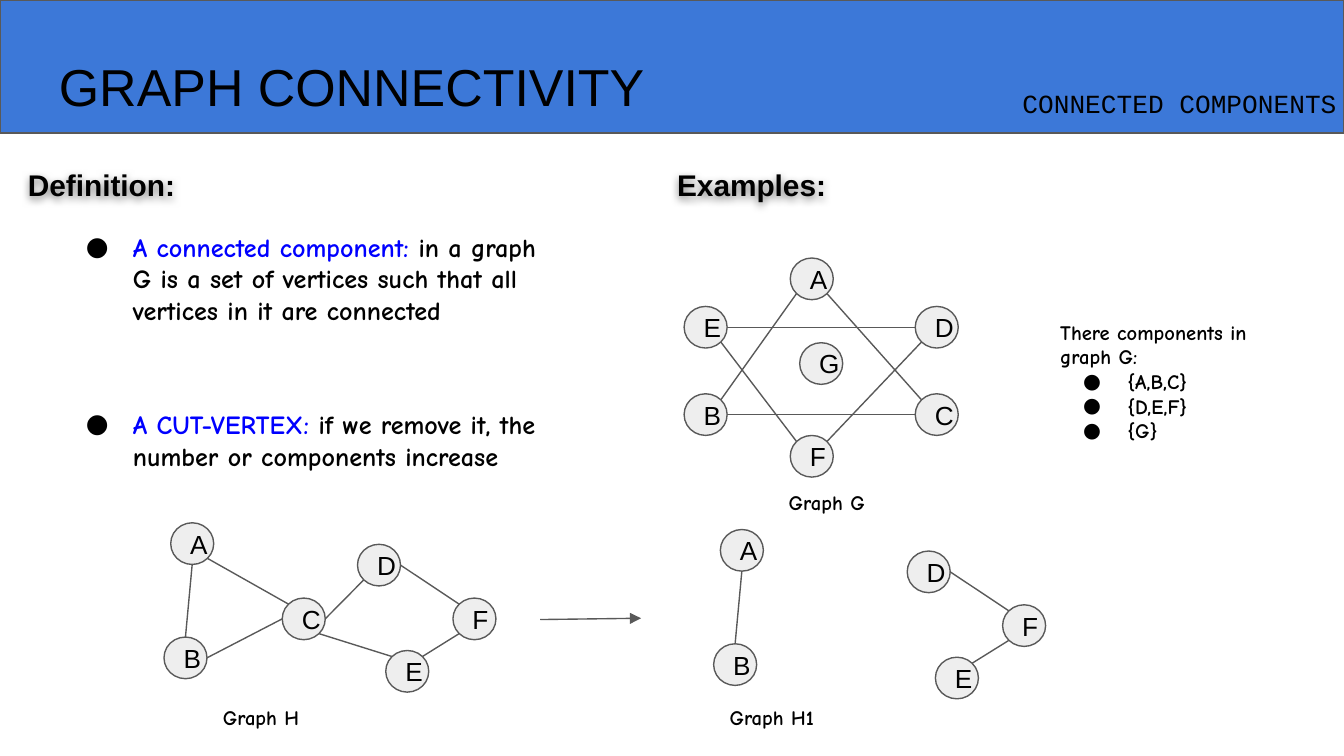
from pptx import Presentation
from pptx.util import Inches, Pt
from pptx.dml.color import RGBColor
from pptx.enum.shapes import MSO_SHAPE as Shape, MSO_CONNECTOR as Line
from pptx.enum.text import MSO_ANCHOR as Anchor, PP_ALIGN as Align
from pptx.oxml import parse_xml
from pptx.oxml.ns import nsdecls

BLUE = RGBColor(0x3C, 0x78, 0xD8)
LINK = RGBColor(0x00, 0x00, 0xFF)
GREY = RGBColor(0x59, 0x59, 0x59)
PALE = RGBColor(0xEE, 0xEE, 0xEE)
BLACK = RGBColor(0, 0, 0)
SANS, COMIC, MONO = "Arial", "Comic Neue", "Courier New"
NS = nsdecls("a")

# Content: box (left, top, width, height), text, size, font, bold
LABELS = [
    ((0.34, 0.31, 6.03, 1.14), "GRAPH CONNECTIVITY", 27.8, SANS, False),
    ((7.51, 0.55, 2.83, 0.44), "CONNECTED COMPONENTS", 14, MONO, False),
    ((5.27, 3.55, 1.31, 0.39), "Graph G", 11, COMIC, True),
    ((1.56, 5.15, 1.10, 0.39), "Graph H", 11, COMIC, True),
    ((5.33, 5.15, 1.26, 0.39), "Graph H1", 11, COMIC, True),
]
INDENTED = "Graph G"
HEADS = [
    ((0.11, 1.14, 1.3, 0.47), "Definition:"),
    ((4.94, 1.14, 2.04, 0.47), "Examples:"),
]
TERMS = [
    ((0.39, 1.62, 3.73, 1.14), "A connected component:",
     " in a graph G is a set of vertices such that all vertices in it are connected"),
    ((0.39, 2.94, 3.73, 0.91), "A CUT-VERTEX:",
     " if we remove it, the number or components increase"),
]
PARTS_BOX = (7.79, 2.28, 1.99, 1.13)
PARTS = ["There components in graph G:", "{A,B,C}", "{D,E,F}", "{G}"]

# Graphs: top left of each node; edges as node, side, node, side
NODE_W, NODE_H = 0.32, 0.31
G_NODES = {"B": (5.09, 2.93), "C": (6.81, 2.93), "A": (5.88, 1.92),
           "D": (6.81, 2.28), "E": (5.09, 2.28), "F": (5.88, 3.24),
           "G": (5.95, 2.55)}
G_EDGES = ["A sw B ne", "B e C w", "A se C nw",
           "E se F nw", "F ne D sw", "E e D w"]
H_NODES = {"A": (1.27, 3.89), "B": (1.22, 4.74), "D": (2.66, 4.05),
           "C": (2.10, 4.45), "E": (2.87, 4.84), "F": (3.37, 4.45)}
H_EDGES = ["A s B n", "A se C nw", "D sw C e", "D e F nw",
           "C se E nw", "E ne F sw", "B e C w"]
CUT, SHIFT = "C", (4.09, 0.05)

prs = Presentation()
prs.slide_width = Inches(10)
prs.slide_height = prs.slide_width * 9 // 16
slide = prs.slides.add_slide(prs.slide_layouts[6])


def style(run, size, font, bold=False, color=BLACK):
    run.font.size, run.font.name = Pt(size), font
    run.font.bold, run.font.color.rgb = bold, color


def inset(frame):
    frame.word_wrap = True
    frame.margin_left = frame.margin_right = Inches(0.1)
    frame.margin_top = frame.margin_bottom = Inches(0.1)


def add_box(box):
    shape = slide.shapes.add_textbox(*map(Inches, box))
    inset(shape.text_frame)
    return shape


def add_label(box, text, size, font, bold):
    shape = add_box(box)
    shape.text_frame.text = text
    style(shape.text_frame.paragraphs[0].runs[0], size, font, bold)
    return shape


def indent(par, hang=0):
    props = par._p.get_or_add_pPr()
    props.set("marL", str(Inches(0.5)))
    props.set("indent", str(-Inches(hang)))
    return props


def add_bullet(par, hang):
    props = indent(par, hang)
    for part in (f'<a:buClr {NS}><a:srgbClr val="{BLACK}"/></a:buClr>',
                 f'<a:buFont {NS} typeface="{COMIC}"/>',
                 f'<a:buChar {NS} char="●"/>'):
        props.append(parse_xml(part))


def add_fill(shape, color):
    shape.shadow.inherit = False
    shape.fill.solid()
    shape.fill.fore_color.rgb = color
    shape.line.color.rgb, shape.line.width = GREY, Pt(0.75)


def add_line(shapes, start, end):
    line = shapes.add_connector(Line.STRAIGHT, *map(Inches, start + end))
    line.line.color.rgb, line.line.width = GREY, Pt(0.75)
    line._element.spPr.append(parse_xml(f'<a:effectLst {NS}/>'))
    return line


def port(spot, side):
    """Point on a node's rim in a compass direction."""
    dx = ("e" in side) - ("w" in side)
    dy = ("s" in side) - ("n" in side)
    reach = 0.5 if len(side) == 1 else 0.5 * 0.5 ** 0.5
    return (spot[0] + NODE_W * (0.5 + dx * reach),
            spot[1] + NODE_H * (0.5 + dy * reach))


def add_graph(nodes, edges):
    shapes = slide.shapes.add_group_shape().shapes
    for name, spot in nodes.items():
        node = shapes.add_shape(Shape.FLOWCHART_CONNECTOR,
                                *map(Inches, spot + (NODE_W, NODE_H)))
        add_fill(node, PALE)
        frame = node.text_frame
        inset(frame)
        frame.vertical_anchor = Anchor.MIDDLE
        frame.text = name
        par = frame.paragraphs[0]
        par.alignment = Align.LEFT
        style(par.runs[0], 14, SANS)
    for edge in edges:
        a, out, b, into = edge.split()
        add_line(shapes, port(nodes[a], out), port(nodes[b], into))


# Banner and labels
banner = slide.shapes.add_shape(Shape.RECTANGLE, 0, 0, Inches(10), Inches(0.99))
add_fill(banner, BLUE)
for label in LABELS:
    shape = add_label(*label)
    if label[1] == INDENTED:
        indent(shape.text_frame.paragraphs[0])

# Headings with a soft shadow
for box, text in HEADS:
    head = add_label(box, text, 16, SANS, True)
    head._element.spPr.append(parse_xml(
        f'<a:effectLst {NS}><a:outerShdw blurRad="57150" dist="19050" '
        'dir="5400000" algn="bl" rotWithShape="0"><a:srgbClr val="000000">'
        '<a:alpha val="50000"/></a:srgbClr></a:outerShdw></a:effectLst>'))

# Definitions
for box, term, rest in TERMS:
    par = add_box(box).text_frame.paragraphs[0]
    add_bullet(par, 0.35)
    for text, color in ((term, LINK), (rest, BLACK)):
        run = par.add_run()
        run.text = text
        style(run, 14, COMIC, True, color)

# Components of graph G
frame = add_box(PARTS_BOX).text_frame
frame.text = "\n".join(PARTS)
for i, par in enumerate(frame.paragraphs):
    style(par.runs[0], 11, COMIC, True)
    if i:
        add_bullet(par, 0.33)

# Graphs; H1 is H without its cut vertex
add_graph(G_NODES, G_EDGES)
add_graph(H_NODES, H_EDGES)
add_graph({n: (x + SHIFT[0], y + SHIFT[1])
           for n, (x, y) in H_NODES.items() if n != CUT},
          [e for e in H_EDGES if CUT not in e])

# Arrow from H to H1
arrow = add_line(slide.shapes, (4.02, 4.61), (4.77, 4.6))
arrow.line._get_or_add_ln().append(parse_xml(f'<a:tailEnd {NS} type="triangle"/>'))

prs.save("out.pptx")
